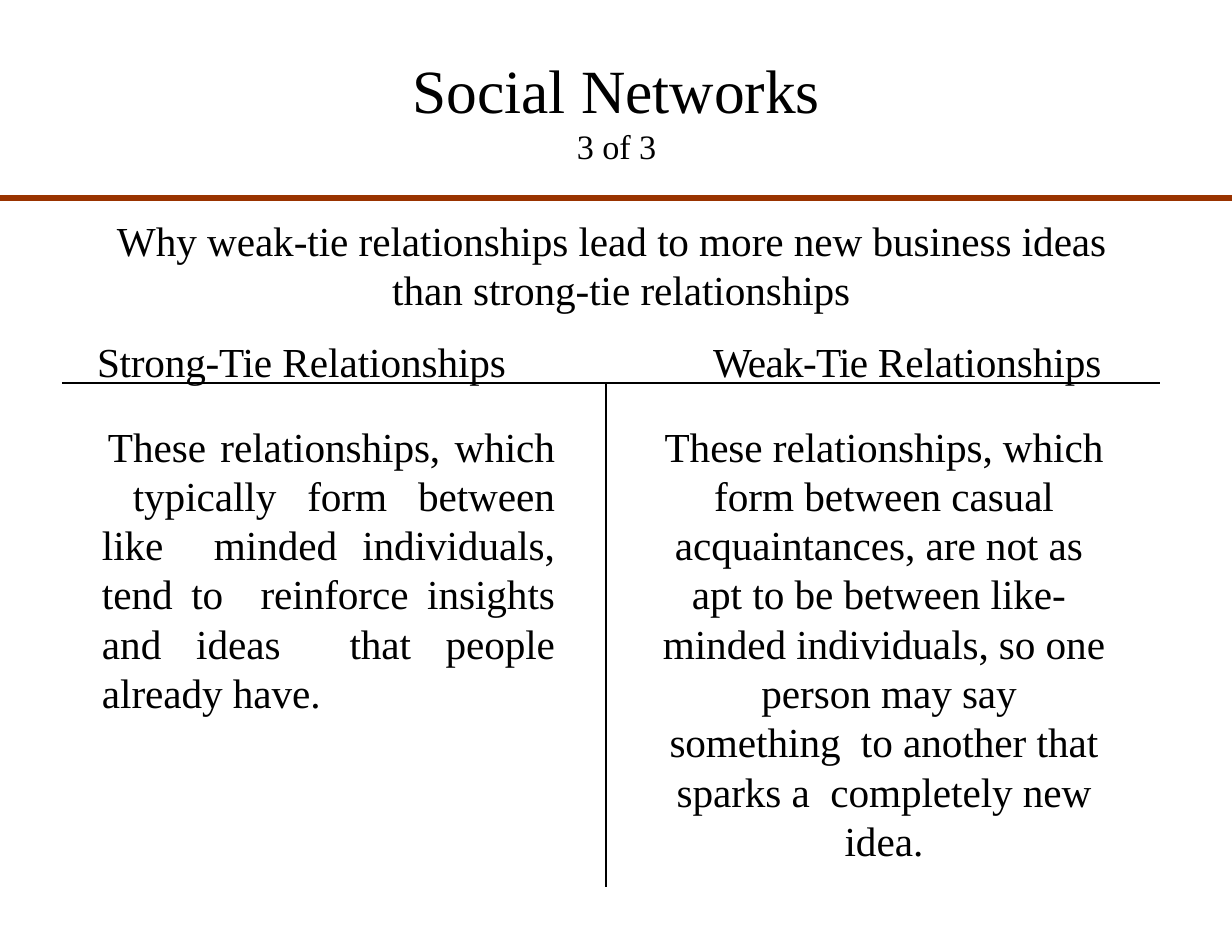
from dataclasses import dataclass

from lxml import etree
from pptx import Presentation
from pptx.dml.color import RGBColor
from pptx.enum.shapes import MSO_CONNECTOR
from pptx.enum.text import MSO_ANCHOR, PP_ALIGN
from pptx.oxml.ns import qn
from pptx.util import Pt

PX = 914400 // 112
LINE = MSO_CONNECTOR.STRAIGHT
TOP = MSO_ANCHOR.TOP
LEFT, MID, JUST = PP_ALIGN.LEFT, PP_ALIGN.CENTER, PP_ALIGN.JUSTIFY
WIDE, HIGH = 1232, 952


@dataclass
class Theme:
    font: str = "Times New Roman"
    ink: str = "000000"
    rust: str = "993300"
    title: float = 39.5
    count: float = 22
    body: float = 26.5
    lead: float = 31.7
    thick: float = 3.25
    thin: float = 0.84
    snug: float = -0.05
    tight: float = -0.15
    dense: float = -0.45


class Page:
    def __init__(self, slide, theme):
        self.slide = slide
        self.theme = theme

    def stroke(self, line, color, width):
        line.color.rgb = RGBColor.from_string(color)
        line.width = Pt(width)

    def rule(self, start, end):
        ends = [v * PX for v in (*start, *end)]
        line = self.slide.shapes.add_connector(LINE, *ends)
        self.stroke(line.line, self.theme.rust, self.theme.thick)
        etree.SubElement(line._element.spPr, qn("a:effectLst"))

    def frame(self, *lines):
        """Draw several thin straight lines as one outline."""
        pen = self.slide.shapes.build_freeform(*lines[0][0], scale=PX)
        for start, end in lines:
            if start != lines[0][0]:
                pen.move_to(*start)
            pen.add_line_segments([end], close=False)
        shape = pen.convert_to_shape()
        shape.fill.background()
        shape.shadow.inherit = False
        self.stroke(shape.line, self.theme.ink, self.theme.thin)

    def box(self, left, top, width, height, inset=3):
        """Add an empty text box and return its frame."""
        area = [v * PX for v in (left, top, width, height)]
        frame = self.slide.shapes.add_textbox(*area).text_frame
        frame.word_wrap = True
        frame.vertical_anchor = TOP
        frame.margin_left = frame.margin_right = frame.margin_bottom = 0
        frame.margin_top = inset * PX
        return frame

    def para(self, frame, runs, size, align=LEFT, lead=None, before=0,
             left=0, indent=0, tab=None):
        """Fill the next paragraph; runs are (text, letter spacing) pairs."""
        first = frame.paragraphs[0]
        para = frame.add_paragraph() if first.runs else first
        props = para._p.get_or_add_pPr()
        if left:
            props.set("marL", str(left * PX))
        if indent:
            props.set("indent", str(indent * PX))
        if tab:
            tabs = etree.SubElement(props, qn("a:tabLst"))
            etree.SubElement(tabs, qn("a:tab"), pos=str(tab * PX), algn="l")
        para.alignment = align
        para.space_before = Pt(before)
        if lead:
            para.line_spacing = Pt(lead)
        for text, gap in runs:
            run = para.add_run()
            run.text = text
            run.font.name = self.theme.font
            run.font.size = Pt(size)
            run.font.color.rgb = RGBColor.from_string(self.theme.ink)
            if gap:
                run._r.get_or_add_rPr().set("spc", str(round(gap * 100)))


def main():
    deck = Presentation()
    deck.slide_width, deck.slide_height = WIDE * PX, HIGH * PX
    theme = Theme()
    snug, tight, dense = theme.snug, theme.tight, theme.dense
    page = Page(deck.slides.add_slide(deck.slide_layouts[6]), theme)

    title = page.box(111, 13, 1011, 193, inset=39)
    page.para(title, [("Social Networks", 0)], theme.title, MID)
    page.para(title, [("3 of 3", snug)], theme.count, MID)

    page.rule((0, 198), (WIDE, 198))
    page.frame(((62, 383), (1160, 383)), ((606, 383), (606, 887)))

    strong = [
        ("These relationships, which  typically form between like  minded "
         "individuals, tend to  reinforce insights ", snug),
        ("and ", 0),
        ("ideas  that people already have.", snug),
    ]
    weak = [
        ("These relationships, which  form between casual  acquaintances, "
         "are not as  ", snug),
        ("apt ", 0),
        ("to be between like-  minded individuals, so one  person may say "
         "something  to another ", snug),
        ("that ", 0),
        ("sparks a  completely new idea.", snug),
    ]
    columns = [
        ((101, 418, 454, 250), strong, JUST, 6),
        ((661, 418, 445, 398), weak, MID, 0),
    ]
    for area, runs, align, indent in columns:
        page.para(page.box(*area), runs, theme.body, align, theme.lead,
                  left=1, indent=indent)

    heads = page.box(96, 212, 1011, 176)
    claim = [
        ("Why weak-tie relationships lead ", snug),
        ("to ", tight),
        ("more new business ideas  than strong-tie relationships", snug),
    ]
    labels = [
        ("Strong-Tie", tight),
        (" Relationships\t", snug),
        ("Weak-Tie ", dense),
        ("Relationships", snug),
    ]
    page.para(heads, claim, theme.body, lead=theme.lead, left=286,
              indent=-265)
    page.para(heads, labels, theme.body, before=14.7, left=1, tab=616)

    deck.save("out.pptx")


if __name__ == "__main__":
    main()
